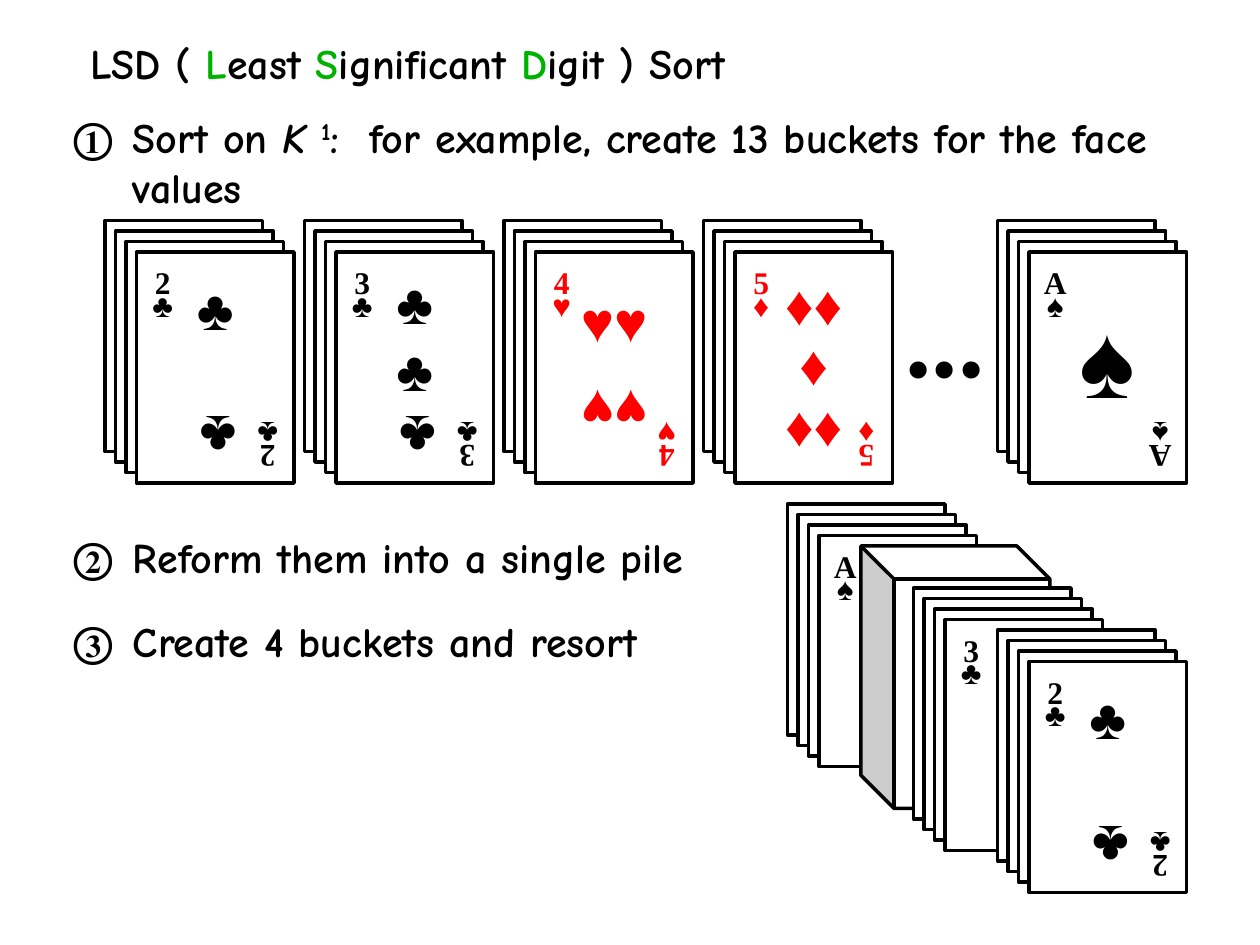
from dataclasses import dataclass

from pptx import Presentation
from pptx.dml.color import RGBColor as Rgb
from pptx.enum.shapes import MSO_SHAPE as Preset
from pptx.enum.text import MSO_ANCHOR as Anchor, MSO_AUTO_SIZE as AutoSize, PP_ALIGN as Align
from pptx.util import Pt


@dataclass(frozen=True)
class Theme:
    black: Rgb = Rgb(0, 0, 0)
    white: Rgb = Rgb(255, 255, 255)
    red: Rgb = Rgb(255, 0, 0)
    green: Rgb = Rgb(0, 0xB2, 0)
    hand: str = "Comic Neue"
    serif: str = "Times New Roman"
    body: int = 24
    corner: int = 18
    pip: int = 32
    large: int = 60
    outline: int = 2


THEME = Theme()
CARD_WIDTH, CARD_HEIGHT = 90, 132
CARD_STEP, CARDS = 6, 4
ITEM_INDENT = 34


def style(span, size, font, color=THEME.black):
    span.font.size = Pt(size)
    span.font.name = font
    span.font.bold = True
    span.font.color.rgb = color


def add_text_box(page, left, top, width, height, side_inset=0):
    box = page.shapes.add_textbox(Pt(left), Pt(top), Pt(width), Pt(height))
    frame = box.text_frame
    frame.word_wrap = True
    frame.auto_size = AutoSize.SHAPE_TO_FIT_TEXT
    frame.margin_left = frame.margin_right = Pt(side_inset)
    return frame.paragraphs[0]


def add_span(para, text, font=THEME.hand, color=THEME.black):
    span = para.add_run()
    span.text = text
    style(span, THEME.body, font, color)
    return span


def add_item(page, number, text, top, width, height):
    """A circled number followed by hanging text."""
    para = add_text_box(page, 42, top, width, height)
    properties = para._p.get_or_add_pPr()
    properties.set("marL", str(Pt(ITEM_INDENT)))
    properties.set("indent", str(Pt(-ITEM_INDENT)))
    add_span(para, number + "\t", THEME.serif)
    add_span(para, text)
    return para


def add_solid(group, preset, left, top, width, height):
    shape = group.shapes.add_shape(preset, Pt(left), Pt(top), Pt(width), Pt(height))
    shape.shadow.inherit = False
    shape.fill.solid()
    shape.fill.fore_color.rgb = THEME.white
    shape.line.color.rgb = THEME.black
    shape.line.width = Pt(THEME.outline)
    return shape


def add_symbols(group, text, place, size=THEME.pip, color=THEME.black,
                spacing=None, turned=False):
    """Centred symbols, one paragraph per line, optionally upside down."""
    box = group.shapes.add_textbox(*(Pt(length) for length in place))
    box.rotation = 180 if turned else 0
    frame = box.text_frame
    frame.word_wrap = False
    frame.vertical_anchor = Anchor.MIDDLE
    frame.margin_left = frame.margin_right = 0
    frame.text = text
    for para in frame.paragraphs:
        para.alignment = Align.CENTER
        if spacing:
            para.line_spacing = spacing
        for span in para.runs:
            style(span, size, THEME.serif, color)


def add_pile(group, left, top, rank, suit, covered=False):
    """Four stacked cards; a covered pile shows only its upper corner."""
    for index in range(CARDS):
        shift = index * CARD_STEP
        add_solid(group, Preset.RECTANGLE, left + shift, top + shift, CARD_WIDTH, CARD_HEIGHT)
    color = THEME.red if suit in "♥♦" else THEME.black
    label = f"{rank}\n{suit}"
    add_symbols(group, label, (left + 18, top + 27, 30, 36), THEME.corner, color, 0.6)
    if covered:
        return
    add_symbols(group, label, (left + 78, top + 108, 30, 36), THEME.corner, color, 0.6, True)
    for text, (x, y, width, height), size, spacing, turned in FACES[rank]:
        add_symbols(group, text, (left + x, top + y, width, height),
                    size, color, spacing, turned)


# Pips of each face: text, place within the pile, size, line spacing, upside down
LOWER_CLUB = ("♣", (42, 104, 45, 42), THEME.pip, None, True)
FACES = {
    "2": [("♣", (39, 29, 48, 42), THEME.pip, None, False), LOWER_CLUB],
    "3": [("♣\n♣", (39, 30, 48, 72), THEME.pip, None, False), LOWER_CLUB],
    "4": [("♥♥", (39, 36, 48, 42), THEME.pip, None, False),
          ("♥♥", (39, 89, 48, 42), THEME.pip, None, True)],
    "5": [("♦♦\n♦\n♦♦", (39, 30, 48, 108), THEME.pip, 0.9, False)],
    "A": [("♠", (39, 42, 48, 72), THEME.large, None, False)],
}


def add_title(page):
    para = add_text_box(page, 36, 18, 648, 36, 7.2)
    add_span(para, " LSD ( ")
    for initial, rest in (("L", "east "), ("S", "ignificant "), ("D", "igit ) Sort")):
        add_span(para, initial, color=THEME.green)
        add_span(para, rest)


def add_first_item(page):
    para = add_item(page, "①", "Sort on ", 60, 642, 65)
    add_span(para, "K ").font.italic = True
    add_span(para, "1").font._element.set("baseline", "30000")
    add_span(para, ":  for example, create 13 buckets for the face values")


def add_buckets(page):
    group = page.shapes.add_group_shape()
    for index, (rank, suit) in enumerate(("2♣", "3♣", "4♥", "5♦")):
        add_pile(group, 60 + index * 114, 126, rank, suit)
    add_pile(group, 570, 126, "A", "♠")
    add_symbols(group, "...", (516, 156, 48, 72), THEME.large)


def add_single_pile(page):
    group = page.shapes.add_group_shape()
    add_pile(group, 450, 288, "A", "♠", covered=True)
    cube = add_solid(group, Preset.CUBE, 492, 312, 108, 150)
    cube.adjustments[0] = 0.175
    cube._element.spPr.get_or_add_xfrm().set("flipH", "1")
    add_pile(group, 522, 336, "3", "♣", covered=True)
    add_pile(group, 570, 360, "2", "♣")


def main():
    deck = Presentation()
    deck.slide_width, deck.slide_height = Pt(720), Pt(540)
    page = deck.slides.add_slide(deck.slide_layouts[6])

    # Heading and first step
    add_title(page)
    add_first_item(page)
    add_buckets(page)

    # Second and third steps
    add_item(page, "②", "Reform them into a single pile", 300, 390, 36)
    add_single_pile(page)
    add_item(page, "③", "Create 4 buckets and resort", 348, 360, 36)

    deck.save("out.pptx")


if __name__ == "__main__":
    main()
